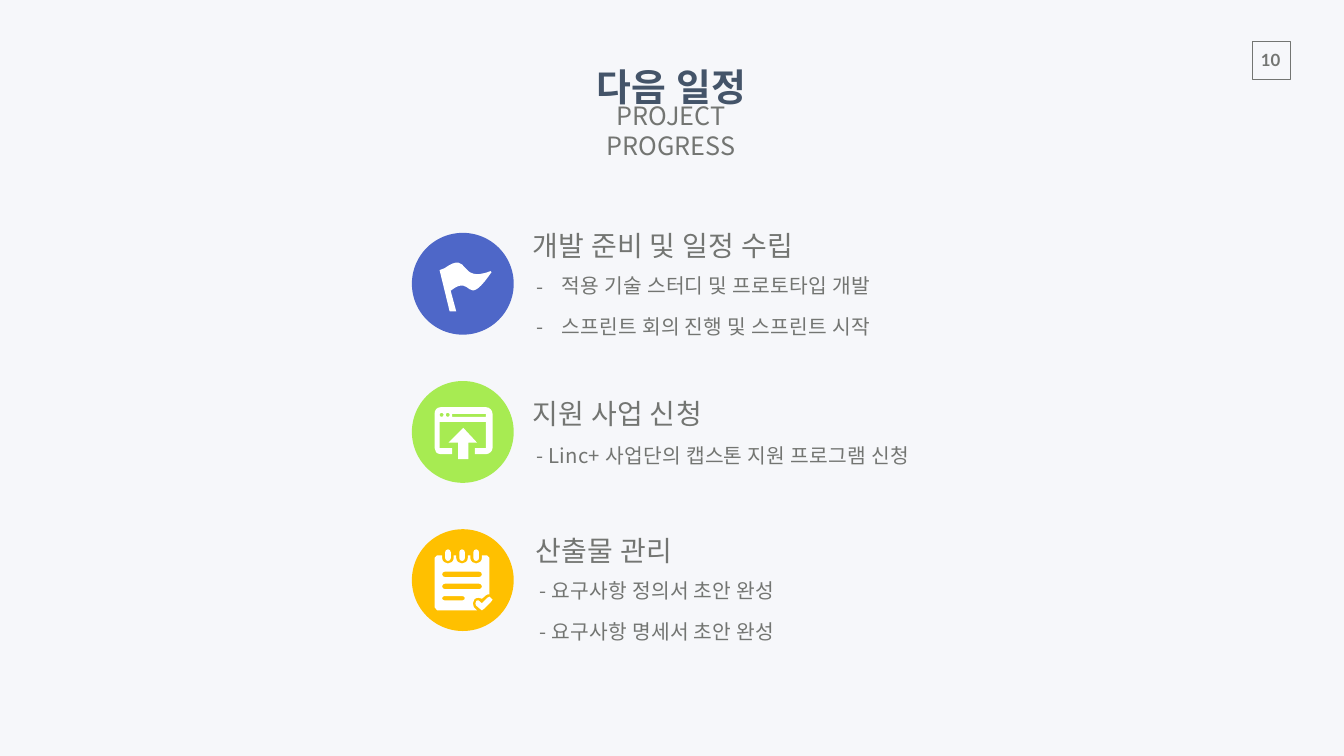
from dataclasses import dataclass

import pptx
import pptx.dml.color
import pptx.enum.shapes
import pptx.enum.text
import pptx.oxml.ns
import pptx.util
from lxml import etree

RGBColor = pptx.dml.color.RGBColor
MSO_SHAPE = pptx.enum.shapes.MSO_SHAPE
PP_ALIGN = pptx.enum.text.PP_ALIGN
MSO_ANCHOR = pptx.enum.text.MSO_ANCHOR
Inches = pptx.util.Inches
qn = pptx.oxml.ns.qn

BACKGROUND = RGBColor(0xF6, 0xF7, 0xFA)
GRAY = RGBColor(0x73, 0x75, 0x72)
NAVY = RGBColor(0x44, 0x54, 0x69)
WHITE = RGBColor(0xFF, 0xFF, 0xFF)
BLUE = RGBColor(0x4E, 0x67, 0xC8)
GREEN = RGBColor(0xA7, 0xEB, 0x52)
YELLOW = RGBColor(0xFF, 0xC0, 0x00)

KOREAN_FONT = "Noto Sans CJK KR"
LINE_HEIGHT = 1.2  # line pitch as a share of the text size

# Badge column: equal rows, one round badge in each
BADGE_LEFT, BADGE_TOP, BADGE_SIZE, ROW_PITCH = 8.17, 4.62, 2.02, 2.94

# Icon outlines, in hundredths of the badge: a segment of one point is a
# line, one of three points is a curve; the first segment is the start.
Point = tuple[float, float]
Contour = list[tuple[Point, ...]]


@dataclass
class Box:
    left: float
    top: float
    width: float
    height: float


@dataclass
class Style:
    size: float
    color: RGBColor = GRAY
    font: str = KOREAN_FONT
    bold: bool = False
    align: PP_ALIGN = PP_ALIGN.LEFT
    anchor: MSO_ANCHOR = MSO_ANCHOR.TOP
    inset: Point = (0.1, 0.05)
    wrap: bool = True
    spacing: float = 1.1
    before: float = 0
    bullet: bool = False
    tracking: float = 0.014  # letter spacing as a share of the text size


@dataclass
class Step:
    color: RGBColor
    icon: list[Contour]
    heading: str
    heading_box: Box
    details: list[str]
    details_box: Box
    bullet: bool = False


def paint(shape, fill: RGBColor | None, line: RGBColor | None = None) -> None:
    shape.shadow.inherit = False
    if fill is None:
        shape.fill.background()
    else:
        shape.fill.solid()
        shape.fill.fore_color.rgb = fill
    if line is None:
        shape.line.fill.background()
    else:
        shape.line.color.rgb = line
        shape.line.width = pptx.util.Pt(1)


def add_preset(slide, kind: MSO_SHAPE, box: Box, fill: RGBColor | None,
               line: RGBColor | None = None) -> None:
    shape = slide.shapes.add_shape(kind, Inches(box.left), Inches(box.top),
                                   Inches(box.width), Inches(box.height))
    paint(shape, fill, line)


def add_text(slide, box: Box, lines: list[str], style: Style) -> None:
    shape = slide.shapes.add_textbox(Inches(box.left), Inches(box.top),
                                     Inches(box.width), Inches(box.height))
    frame = shape.text_frame
    frame.word_wrap = style.wrap
    frame.vertical_anchor = style.anchor
    frame.margin_left = frame.margin_right = Inches(style.inset[0])
    frame.margin_top = frame.margin_bottom = Inches(style.inset[1])
    for index, line in enumerate(lines):
        paragraph = frame.add_paragraph() if index else frame.paragraphs[0]
        paragraph.alignment = style.align
        paragraph.line_spacing = pptx.util.Pt(round(style.size * LINE_HEIGHT * style.spacing, 1))
        paragraph.space_before = pptx.util.Pt(style.before)
        if style.bullet:
            properties = paragraph._p.get_or_add_pPr()
            properties.set("marL", str(Inches(0.5)))
            properties.set("indent", str(-Inches(0.5)))
            etree.SubElement(properties, qn("a:buFont")).set("typeface", style.font)
            etree.SubElement(properties, qn("a:buChar")).set("char", "-")
        run = paragraph.add_run()
        run.text = line
        run.font.size = pptx.util.Pt(style.size)
        run.font.bold = style.bold
        run.font.color.rgb = style.color
        run.font.name = style.font
        run_properties = run._r.get_or_add_rPr()
        run_properties.set("spc", str(round(style.size * style.tracking * 100)))
        etree.SubElement(run_properties, qn("a:ea")).set("typeface", style.font)


def add_icon(slide, icon: list[Contour], top: float) -> None:
    """One white freeform; inner contours become holes."""
    unit = Inches(BADGE_SIZE) / 100
    points = [point for contour in icon for segment in contour for point in segment]
    xs, ys = zip(*points)
    left, right, upper, lower = min(xs), max(xs), min(ys), max(ys)
    origin_x, origin_y = Inches(BADGE_LEFT), Inches(top)
    corners = [(round(origin_x + x * unit), round(origin_y + y * unit))
               for x, y in ((left, upper), (right, upper), (right, lower), (left, lower))]
    builder = slide.shapes.build_freeform(*corners[0])
    builder.add_line_segments(corners[1:], close=True)
    shape = builder.convert_to_shape()
    paint(shape, WHITE)

    # Put the contours, with their curves, into the outline
    outline = next(shape._element.iter(qn("a:path")))
    for child in list(outline):
        outline.remove(child)
    for contour in icon:
        for index, segment in enumerate(contour):
            tag = "a:moveTo" if index == 0 else "a:lnTo" if len(segment) == 1 else "a:cubicBezTo"
            command = etree.SubElement(outline, qn(tag))
            for x, y in segment:
                point = etree.SubElement(command, qn("a:pt"))
                point.set("x", str(round((x - left) * unit)))
                point.set("y", str(round((y - upper) * unit)))
        etree.SubElement(outline, qn("a:close"))


def lines(*points: Point) -> Contour:
    return [(point,) for point in points]


def pill(left: float, top: float, width: float, height: float) -> Contour:
    """Bar with round ends, lying or standing; a dot if square."""
    radius = min(width, height) / 2
    near = radius * 0.45
    right, bottom = left + width, top + height
    return [
        ((left + radius, top),), ((right - radius, top),),
        ((right - near, top), (right, top + near), (right, top + radius)),
        ((right, bottom - radius),),
        ((right, bottom - near), (right - near, bottom), (right - radius, bottom)),
        ((left + radius, bottom),),
        ((left + near, bottom), (left, bottom - near), (left, bottom - radius)),
        ((left, top + radius),),
        ((left, top + near), (left + near, top), (left + radius, top)),
    ]


FLAG = [[((77.2, 37.6),), ((44.6, 50.5), (57.9, 16.3), (32.2, 34.7)),
         *lines((27.2, 36.6), (37.1, 77.2), (43.6, 77.2), (38.1, 56.9)),
         ((60.9, 38.6), (51.5, 77.2), (78.2, 38.6))]]

WINDOW = [
    # Frame, open at the bottom
    [*lines((28.2, 25.7), (72.8, 25.7)), ((76.2, 25.7), (79.2, 28.7), (79.2, 32.2)),
     *lines((79.2, 65.8)), ((79.2, 68.8), (76.2, 71.8), (72.8, 71.8)),
     *lines((61.9, 71.8), (61.9, 65.8), (72.8, 65.8), (72.8, 40.1), (27.2, 40.1),
            (27.2, 65.8), (39.6, 65.8), (39.6, 71.8), (28.2, 71.8)),
     ((24.3, 71.8), (22.3, 68.8), (22.3, 65.8)), *lines((22.3, 32.2)),
     ((22.3, 28.7), (24.3, 25.7), (28.2, 25.7))],
    # Title bar: two dots and a strip
    *[pill(left, 31.2, 4, 4) for left in (27.2, 33.2)],
    lines((39.6, 32.2), (72.8, 32.2), (72.8, 35.2), (39.6, 35.2)),
    # Arrow
    lines((50.5, 46), (36.1, 60.4), (45.5, 60.4), (45.5, 76.7),
          (55.4, 76.7), (55.4, 60.4), (63.9, 60.4)),
]

RINGS = [29.7 + 13.85 * index for index in range(3)]
NOTCHES = [segment for x in RINGS for segment in (
    *lines((x, 25.7), (x, 28.2)),
    ((x, 31.7), (x + 3, 33.7), (x + 5.7, 33.7)),
    ((x + 8.4, 33.7), (x + 11.4, 31.7), (x + 11.4, 28.2)),
    *lines((x + 11.4, 25.7)))]
NOTEPAD = [
    # Sheet with notches for the rings and a gap around the check mark
    [*lines((24.8, 25.7)), *NOTCHES, *lines((73.8, 25.7), (76.2, 28.2), (76.2, 63.9)),
     ((74.3, 63.9), (72.8, 64.4), (72.3, 65.3)), *lines((68.8, 68.3)),
     ((67.8, 67.8), (66.8, 67.3), (65.3, 67.3)),
     ((61.9, 67.3), (59.9, 69.8), (59.9, 72.8)),
     *lines((60.9, 76.7), (63.9, 79.7), (24.8, 79.7), (22.3, 76.7), (22.3, 28.2))],
    *[pill(left + 3, 19.8, 5.5, 11.4) for left in RINGS],
    pill(29.7, 41.6, 39.1, 5.4),
    pill(29.7, 53.5, 39.1, 5.4),
    pill(29.7, 65.8, 22.3, 4),
    # Check mark
    lines((62.4, 72.8), (63.4, 70.3), (65.3, 69.8), (68.8, 72.8), (74.3, 67.3), (76.2, 66.3),
          (79.2, 69.3), (77.7, 71.3), (70.8, 78.2), (68.8, 79.7), (66.8, 78.2), (62.9, 74.8)),
]

STEPS = [
    Step(BLUE, FLAG, "개발 준비 및 일정 수립", Box(10.46, 4.42, 7.69, 0.79),
         ["적용 기술 스터디 및 프로토타입 개발", "스프린트 회의 진행 및 스프린트 시작"],
         Box(10.44, 5.27, 7.28, 1.56), bullet=True),
    Step(GREEN, WINDOW, "지원 사업 신청", Box(10.46, 7.76, 4.66, 0.84),
         ["- Linc+ 사업단의 캡스톤 지원 프로그램 신청"], Box(10.44, 8.64, 8.06, 0.74)),
    Step(YELLOW, NOTEPAD, "산출물 관리", Box(10.53, 10.47, 4.66, 0.84),
         ["- 요구사항 정의서 초안 완성", "- 요구사항 명세서 초안 완성"],
         Box(10.5, 11.32, 5.21, 1.56)),
]


def main() -> None:
    presentation = pptx.Presentation()
    presentation.slide_width, presentation.slide_height = Inches(26.66), Inches(15)
    slide = presentation.slides.add_slide(presentation.slide_layouts[6])
    slide.background.fill.solid()
    slide.background.fill.fore_color.rgb = BACKGROUND

    # Page number
    add_preset(slide, MSO_SHAPE.RECTANGLE, Box(24.84, 0.82, 0.75, 0.75), None, GRAY)
    add_text(slide, Box(24.8, 0.89, 0.81, 0.61), ["10"],
             Style(24, font="Lato", bold=True, align=PP_ALIGN.CENTER, inset=(0.2, 0.1),
                   wrap=False, spacing=1, tracking=0))

    # Steps: badge, icon, details and heading
    for row, step in enumerate(STEPS):
        top = BADGE_TOP + row * ROW_PITCH
        add_preset(slide, MSO_SHAPE.OVAL, Box(BADGE_LEFT, top, BADGE_SIZE, BADGE_SIZE), step.color)
        add_icon(slide, step.icon, top)
        add_text(slide, step.details_box, step.details,
                 Style(29, inset=(0.2, 0.1), before=20, bullet=step.bullet))
        add_text(slide, step.heading_box, [step.heading], Style(40))

    # Title and subtitle
    centered = dict(align=PP_ALIGN.CENTER, anchor=MSO_ANCHOR.MIDDLE, spacing=1)
    add_text(slide, Box(11.52, 1.12, 3.6, 1.18), ["다음 일정"],
             Style(54, NAVY, bold=True, inset=(0.27, 0.13), wrap=False, **centered))
    add_text(slide, Box(10.65, 2.15, 5.33, 0.88), ["PROJECT PROGRESS"],
             Style(36, inset=(1, 0.13), tracking=0, **centered))

    presentation.save("out.pptx")


if __name__ == "__main__":
    main()
